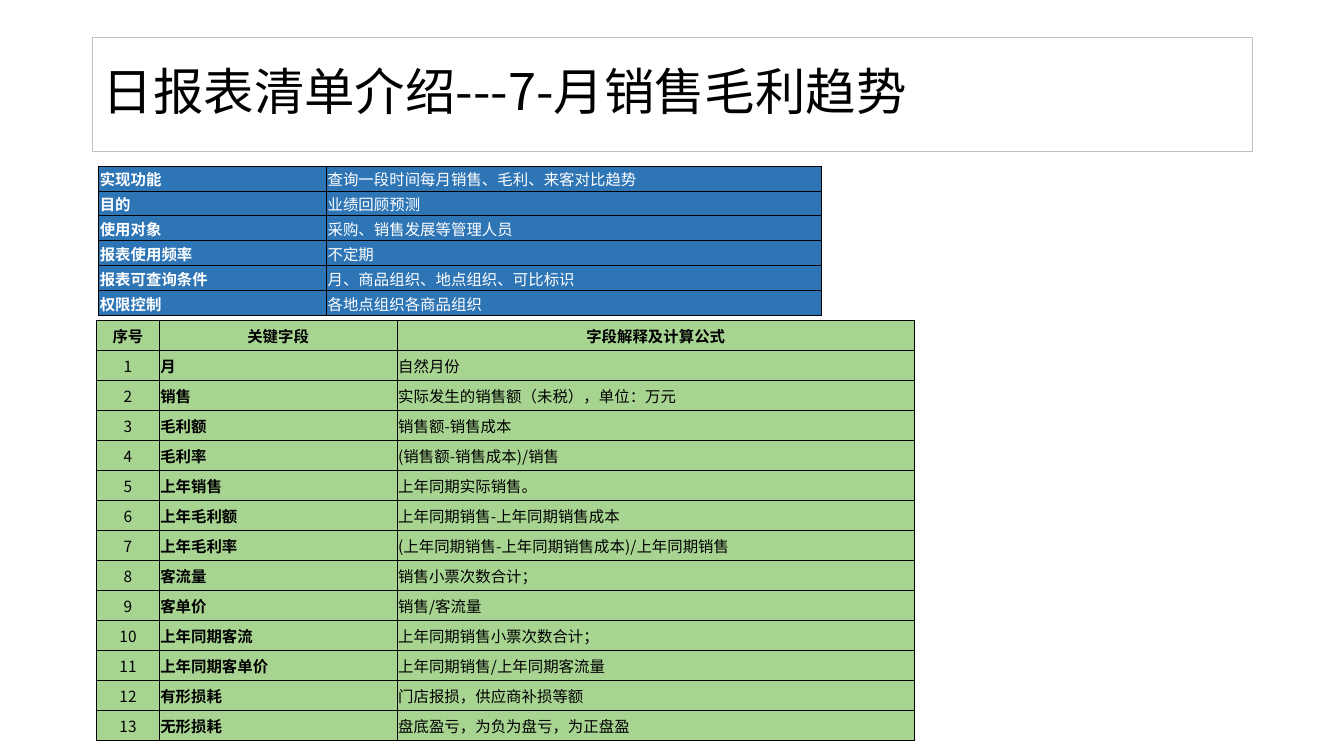
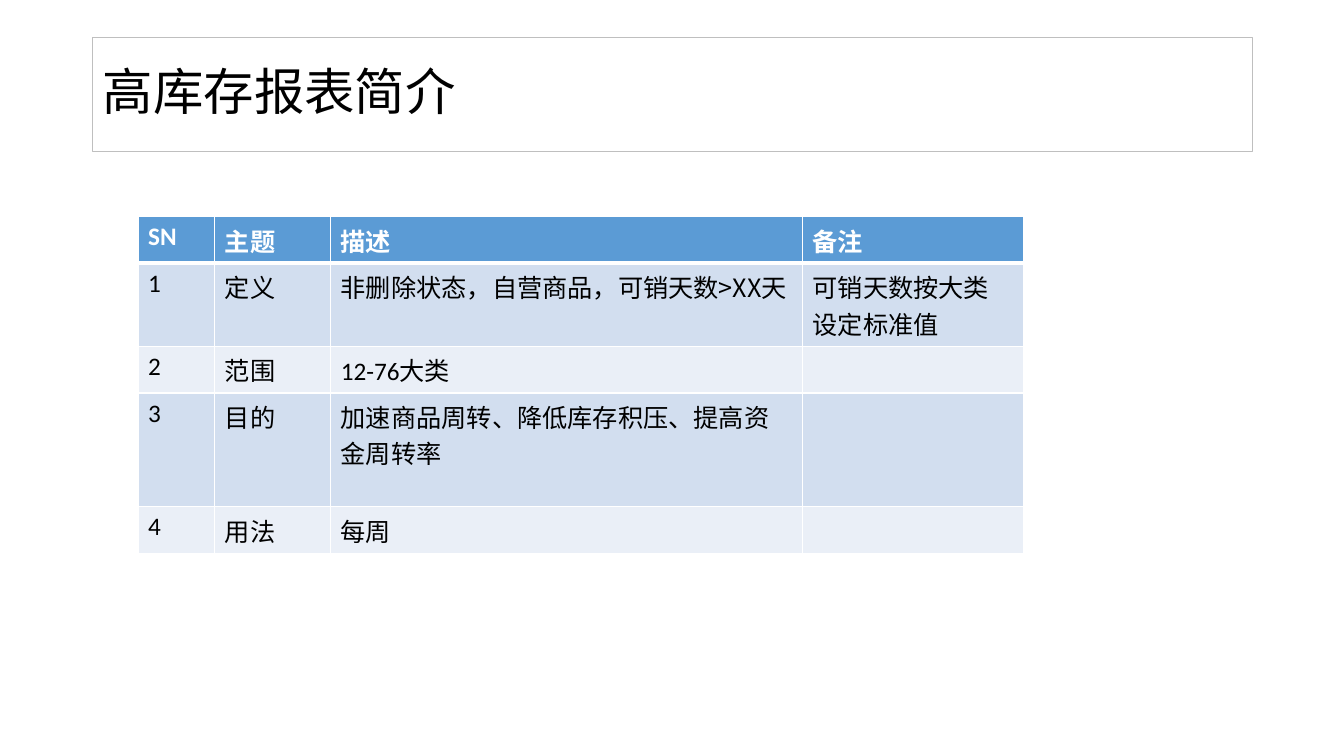
"""Build the report introduction slides: a field glossary and a stock report summary."""
from dataclasses import dataclass, field

from lxml import etree
from pptx import Presentation
from pptx.dml.color import RGBColor
from pptx.enum import text as t
from pptx.oxml import ns
from pptx.util import Inches, Pt


@dataclass(frozen=True)
class Theme:
    """Colours, fonts and type sizes shared by the slides."""
    black: str = "000000"
    white: str = "FFFFFF"
    frame: str = "BFBFBF"
    blue: str = "2E75B6"
    green: str = "A8D492"
    header: str = "5B9BD5"
    band_dark: str = "D2DEEF"
    band_light: str = "EAEFF7"
    cjk: str = "Noto Sans CJK SC"
    latin: str = "Calibri"
    title_size: float = 36
    field_size: float = 11
    summary_size: float = 18


THEME = Theme()


@dataclass(frozen=True)
class Column:
    """Width in inches and text style of one table column."""
    width: float
    bold: bool = False
    centred: bool = False


@dataclass(frozen=True)
class Grid:
    """Content, geometry and style of one table."""
    left: float
    top: float
    columns: list[Column]
    heights: list[float]
    rows: list[tuple[str, ...]]
    fills: tuple[str, ...]
    text_color: str
    size: float
    font: str
    border: str
    border_width: float
    header_fill: str | None = None
    header_color: str = THEME.black
    header_rule: float = 0
    header_centred: bool = False
    tight: bool = False
    font_overrides: dict[tuple[int, int], str] = field(default_factory=dict)


def add_run(paragraph, wording: str, font: str, size: float, color: str, bold: bool = False) -> None:
    """Add one styled run with a Latin and an East Asian font."""
    run = paragraph.add_run()
    run.text = wording
    run.font.name = font
    run.font.size = Pt(size)
    run.font.bold = bold
    run.font.color.rgb = RGBColor.from_string(color)
    etree.SubElement(run._r.get_or_add_rPr(), ns.qn("a:ea"), typeface=THEME.cjk)


def add_borders(cell, color: str, widths: dict[str, float]) -> None:
    """Draw the cell's borders, with a width in points for each side."""
    properties = cell._tc.get_or_add_tcPr()
    for side, width in widths.items():
        line = etree.SubElement(properties, ns.qn(f"a:ln{side}"), w=str(Pt(width)))
        if width:
            fill = etree.SubElement(line, ns.qn("a:solidFill"))
            etree.SubElement(fill, ns.qn("a:srgbClr"), val=color)
        else:
            etree.SubElement(line, ns.qn("a:noFill"))


def add_grid(slide, grid: Grid) -> None:
    """Draw a table from its description."""
    width = sum(column.width for column in grid.columns)
    table = slide.shapes.add_table(
        len(grid.rows), len(grid.columns), Inches(grid.left), Inches(grid.top),
        Inches(width), Inches(sum(grid.heights))).table
    table.first_row = grid.header_fill is not None
    table.horz_banding = False
    for table_column, column in zip(table.columns, grid.columns):
        table_column.width = Inches(column.width)
    for row, (height, wordings) in enumerate(zip(grid.heights, grid.rows)):
        table.rows[row].height = Inches(height)
        is_header = grid.header_fill is not None and row == 0
        is_blank = not any(wordings)
        widths = dict.fromkeys("LRTB", 0 if is_blank else grid.border_width)
        if is_blank:
            widths["B"] = grid.border_width
        if grid.header_rule and row < 2:
            widths["B" if is_header else "T"] = grid.header_rule
        for col, (column, wording) in enumerate(zip(grid.columns, wordings)):
            cell = table.cell(row, col)
            add_borders(cell, grid.border, widths)
            if is_blank:
                cell.fill.background()
            else:
                cell.fill.solid()
                cell.fill.fore_color.rgb = RGBColor.from_string(
                    grid.header_fill if is_header else grid.fills[row % len(grid.fills)])
            if grid.tight:
                cell.vertical_anchor = t.MSO_ANCHOR.MIDDLE
                cell.margin_left = cell.margin_right = cell.margin_top = Inches(0.01)
                cell.margin_bottom = Inches(0)
            paragraph = cell.text_frame.paragraphs[0]
            centred = grid.header_centred if is_header else column.centred
            paragraph.alignment = t.PP_ALIGN.CENTER if centred else t.PP_ALIGN.LEFT
            if wording:
                add_run(paragraph, wording, grid.font_overrides.get((row, col), grid.font),
                        grid.size, grid.header_color if is_header else grid.text_color,
                        is_header or column.bold)
            else:
                etree.SubElement(paragraph._p, ns.qn("a:endParaRPr"), sz=str(int(grid.size * 100)))


def add_titled_slide(deck, heading: str):
    """Add a slide with the framed title."""
    slide = deck.slides.add_slide(deck.slide_layouts[5])
    title = slide.shapes.title
    title.left, title.top = Inches(0.92), Inches(0.37)
    title.width, title.height = Inches(11.5), Inches(1.13)
    title.line.color.rgb = RGBColor.from_string(THEME.frame)
    title.line.width = Pt(0.75)
    frame = title.text_frame
    frame.auto_size = t.MSO_AUTO_SIZE.NONE
    frame.word_wrap = True
    frame.vertical_anchor = t.MSO_ANCHOR.MIDDLE
    paragraph = frame.paragraphs[0]
    paragraph.alignment = t.PP_ALIGN.LEFT
    paragraph.line_spacing = 0.9
    add_run(paragraph, heading, THEME.cjk, THEME.title_size, THEME.black)
    return slide


PURPOSES = [
    ("", ""),
    ("实现功能", "查询一段时间每月销售、毛利、来客对比趋势"),
    ("目的", "业绩回顾预测"),
    ("使用对象", "采购、销售发展等管理人员"),
    ("报表使用频率", "不定期"),
    ("报表可查询条件", "月、商品组织、地点组织、可比标识"),
    ("权限控制", "各地点组织各商品组织"),
]

KEY_FIELDS = [
    ("月", "自然月份"),
    ("销售", "实际发生的销售额（未税），单位：万元"),
    ("毛利额", "销售额-销售成本"),
    ("毛利率", "(销售额-销售成本)/销售"),
    ("上年销售", "上年同期实际销售。"),
    ("上年毛利额", "上年同期销售-上年同期销售成本"),
    ("上年毛利率", "(上年同期销售-上年同期销售成本)/上年同期销售"),
    ("客流量", "销售小票次数合计；"),
    ("客单价", "销售/客流量"),
    ("上年同期客流", "上年同期销售小票次数合计；"),
    ("上年同期客单价", "上年同期销售/上年同期客流量"),
    ("有形损耗", "门店报损，供应商补损等额"),
    ("无形损耗", "盘底盈亏，为负为盘亏，为正盘盈"),
]

FIELD_ROWS = [("序号", "关键字段", "字段解释及计算公式")] + [
    (str(number), name, meaning) for number, (name, meaning) in enumerate(KEY_FIELDS, 1)]

STOCK_ROWS = [
    ("SN", "主题", "描述", "备注"),
    ("1", "定义", "非删除状态，自营商品，可销天数>XX天", "可销天数按大类设定标准值"),
    ("2", "范围", "12-76大类", ""),
    ("3", "目的", "加速商品周转、降低库存积压、提高资金周转率", ""),
    ("4", "用法", "每周", ""),
]

PURPOSE_GRID = Grid(
    left=0.98, top=1.4, columns=[Column(2.26, bold=True), Column(4.91)],
    heights=[1.73 / len(PURPOSES)] * len(PURPOSES), rows=PURPOSES, fills=(THEME.blue,),
    text_color=THEME.white, size=THEME.field_size, font=THEME.cjk,
    border=THEME.black, border_width=0.5, tight=True)

FIELD_GRID = Grid(
    left=0.96, top=3.18,
    columns=[Column(0.62, centred=True), Column(2.36, bold=True), Column(5.13)],
    heights=[4.17 / len(FIELD_ROWS)] * len(FIELD_ROWS), rows=FIELD_ROWS, fills=(THEME.green,),
    text_color=THEME.black, size=THEME.field_size, font=THEME.cjk,
    border=THEME.black, border_width=0.5, header_fill=THEME.green,
    header_centred=True, tight=True)

STOCK_GRID = Grid(
    left=1.37, top=2.15, columns=[Column(0.76), Column(1.15), Column(4.68), Column(2.19)],
    heights=[0.46, 0.82, 0.46, 1.13, 0.46], rows=STOCK_ROWS,
    fills=(THEME.band_light, THEME.band_dark), text_color=THEME.black,
    size=THEME.summary_size, font=THEME.latin, border=THEME.white, border_width=1,
    header_fill=THEME.header, header_color=THEME.white, header_rule=3,
    font_overrides={(1, 2): THEME.cjk, (3, 2): THEME.cjk})


def main() -> None:
    """Build and save the deck."""
    deck = Presentation()
    deck.slide_width, deck.slide_height = Inches(13.33), Inches(7.5)
    for heading, grids in (
        ("日报表清单介绍---7-月销售毛利趋势", (PURPOSE_GRID, FIELD_GRID)),
        ("高库存报表简介", (STOCK_GRID,)),
    ):
        slide = add_titled_slide(deck, heading)
        for grid in grids:
            add_grid(slide, grid)
    deck.save("out.pptx")


if __name__ == "__main__":
    main()
